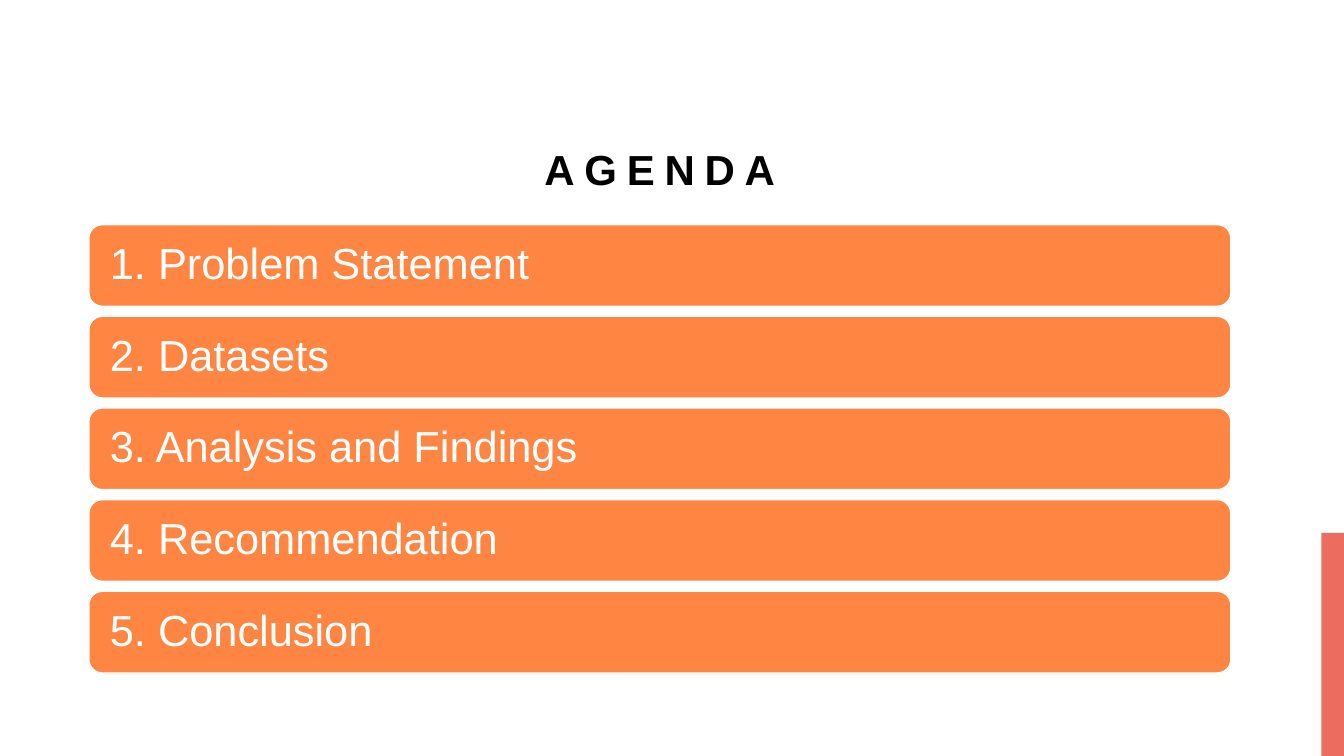
import pptx
import pptx.util
import pptx.dml.color
import pptx.enum.shapes
import pptx.enum.text

Cm, Pt = pptx.util.Cm, pptx.util.Pt
RGBColor = pptx.dml.color.RGBColor
Shape = pptx.enum.shapes.MSO_SHAPE
Anchor = pptx.enum.text.MSO_ANCHOR
Align = pptx.enum.text.PP_ALIGN

BLACK = RGBColor(0x00, 0x00, 0x00)
WHITE = RGBColor(0xFF, 0xFF, 0xFF)
ORANGE = RGBColor(0xFE, 0x85, 0x42)
CORAL = RGBColor(0xEC, 0x6D, 0x60)

LEFT, WIDTH = 2.24, 28.78
TOP, HEIGHT, PITCH = 5.66, 2.06, 2.31
TOPICS = ["Problem Statement", "Datasets", "Analysis and Findings",
          "Recommendation", "Conclusion"]

deck = pptx.Presentation()
deck.slide_width, deck.slide_height = Cm(33.87), Cm(19.05)
slide = deck.slides.add_slide(deck.slide_layouts[5])

# Accent strip at the lower right edge
strip = slide.shapes.add_shape(
    Shape.RECTANGLE, Cm(33.3), Cm(13.43), Cm(0.57), Cm(5.62))
strip.shadow.inherit = False
strip.fill.solid()
strip.fill.fore_color.rgb = CORAL
strip.line.fill.background()

# Title
title = slide.shapes.title
title.left, title.top = Cm(LEFT), Cm(1.02)
title.width, title.height = Cm(WIDTH), Cm(3.99)
frame = title.text_frame
frame.text = "AGENDA"
frame.auto_size = pptx.enum.text.MSO_AUTO_SIZE.NONE
frame.vertical_anchor = Anchor.BOTTOM
para = frame.paragraphs[0]
para.alignment = Align.CENTER
para.line_spacing = 1.2
font = para.runs[0].font
font.name, font.size, font.bold = "Arial", Pt(30), True
font.color.rgb = BLACK
para.runs[0].font._element.set("spc", "700")

# Numbered agenda bars
for i, topic in enumerate(TOPICS):
    bar = slide.shapes.add_shape(
        Shape.ROUNDED_RECTANGLE, Cm(LEFT), Cm(TOP + i * PITCH),
        Cm(WIDTH), Cm(HEIGHT))
    bar.shadow.inherit = False
    bar.fill.solid()
    bar.fill.fore_color.rgb = ORANGE
    bar.line.color.rgb = WHITE
    bar.line.width = Pt(1)
    frame = bar.text_frame
    frame.text = f"{i + 1}. {topic}"
    frame.margin_left = frame.margin_right = Cm(0.43)
    frame.vertical_anchor = Anchor.MIDDLE
    para = frame.paragraphs[0]
    para.alignment = Align.LEFT
    para.line_spacing = 0.9
    font = para.runs[0].font
    font.name, font.size = "Arial", Pt(31)
    font.color.rgb = WHITE

deck.save("out.pptx")
